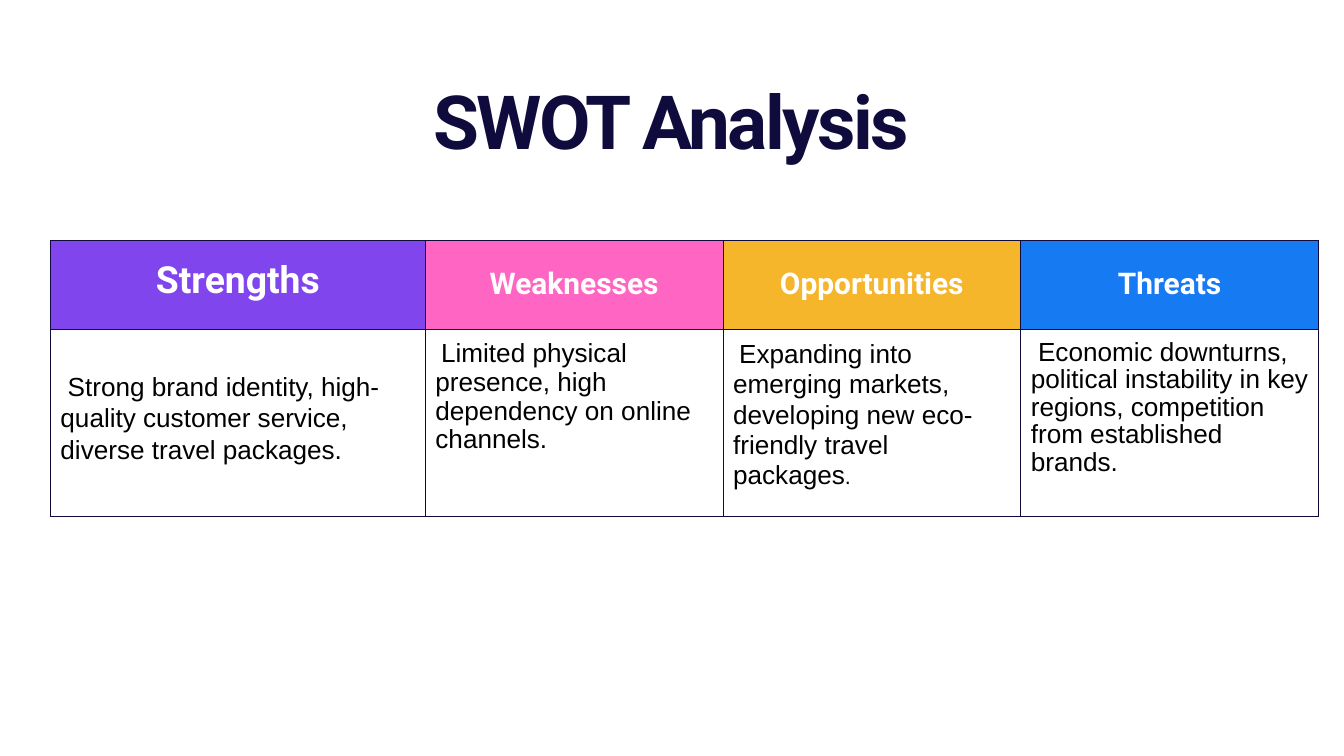
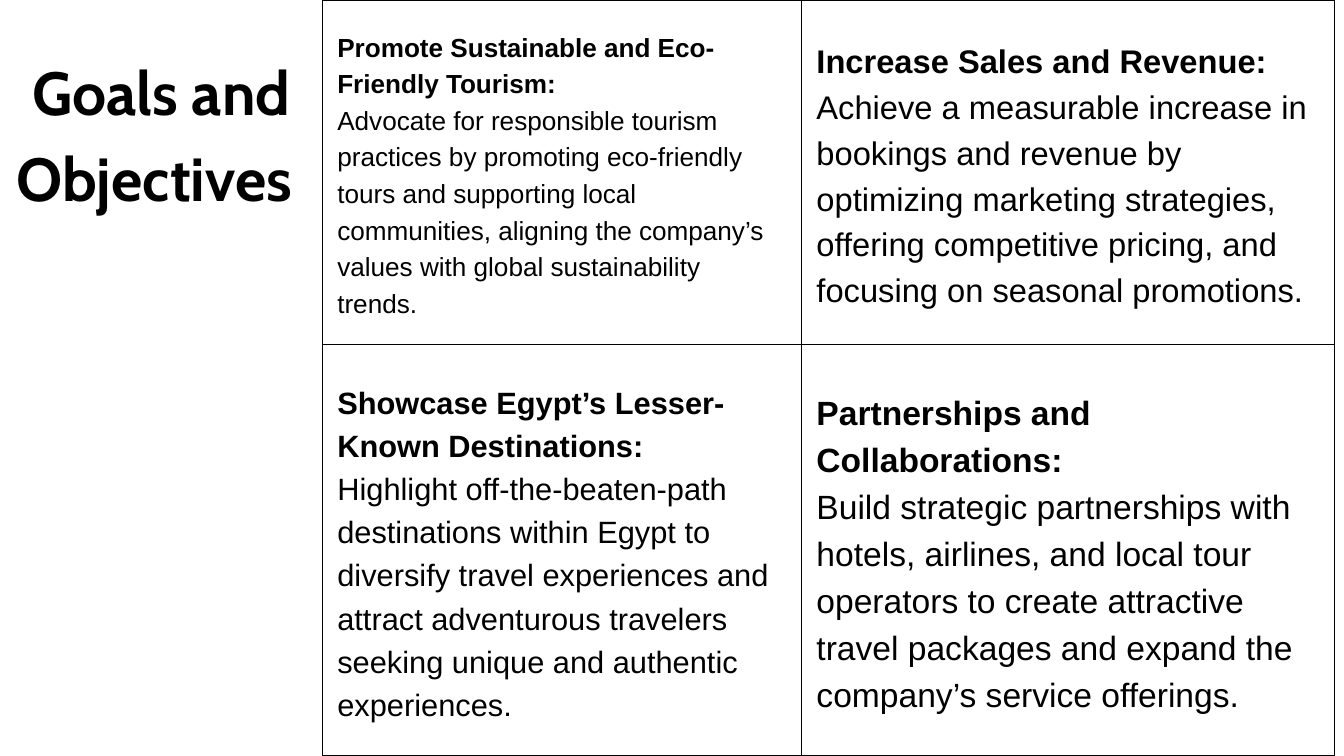
from lxml import etree
from pptx import Presentation
from pptx.dml.color import RGBColor
from pptx.enum import text as txt
from pptx.oxml import ns
from pptx.util import Inches, Pt

COLORS = {
    "navy": "0F0C3D", "black": "000000", "grid": "010101", "white": "FFFFFF",
    "purple": "8045ED", "pink": "FF66C4", "amber": "F6B62C", "blue": "167AF2",
}

# heading, heading size, heading fill, line spacing, text runs with sizes
SWOT = [
    ("Strengths", 40, "purple", 33.6,
     [(" Strong brand identity, high-quality customer service, "
       "diverse travel packages.", 28)]),
    ("Weaknesses", 32, "pink", 30.8,
     [(" ", 22),
      ("Limited physical presence, high dependency on online channels.", 28)]),
    ("Opportunities", 32, "amber", 32.2,
     [(" ", 23),
      ("Expanding into emerging markets, developing new eco-friendly "
       "travel packages", 28),
      (".", 23)]),
    ("Threats", 32, "blue", 29.4,
     [(" Economic downturns, political instability in key regions, "
       "competition from established brands.", 28)]),
]

# heading, description, text size
GOALS = [
    [("Promote Sustainable and Eco-Friendly Tourism:",
      "Advocate for responsible tourism practices by promoting eco-friendly "
      "tours and supporting local communities, aligning the company’s values "
      "with global sustainability trends.", 28),
     ("Increase Sales and Revenue:",
      "Achieve a measurable increase in bookings and revenue by optimizing "
      "marketing strategies, offering competitive pricing, and focusing on "
      "seasonal promotions.", 35)],
    [("Showcase Egypt’s Lesser-Known Destinations:",
      "Highlight off-the-beaten-path destinations within Egypt to diversify "
      "travel experiences and attract adventurous travelers seeking unique "
      "and authentic experiences.", 33),
     ("Partnerships and Collaborations:",
      "Build strategic partnerships with hotels, airlines, and local tour "
      "operators to create attractive travel packages and expand the "
      "company’s service offerings.", 36)],
]


def rgb(color):
    return RGBColor.from_string(COLORS[color])


def write(paragraph, runs, font, color, spacing, bold=False, centered=False):
    """Fill a paragraph with (text, size) runs at an exact line spacing."""
    paragraph.line_spacing = Pt(spacing)
    if centered:
        paragraph.alignment = txt.PP_ALIGN.CENTER
    for words, size in runs:
        run = paragraph.add_run()
        run.text = words
        run.font.size = Pt(size)
    paragraph.font.name = font
    paragraph.font.bold = bold
    paragraph.font.color.rgb = rgb(color)
    for run in paragraph.runs:
        run.font.name = font
        run.font.bold = bold
        run.font.color.rgb = rgb(color)


def add_title(slide, box, words, size, font, color, spacing, tracking=0):
    frame = slide.shapes.add_textbox(*map(Inches, box)).text_frame
    frame.word_wrap = True
    frame.margin_left = frame.margin_right = 0
    frame.margin_top = frame.margin_bottom = 0
    title = frame.paragraphs[0]
    write(title, [(words, size)], font, color, spacing, True, True)
    if tracking:
        for run in title.runs:
            run.font._element.set("spc", str(round(tracking * 100)))


def style_cell(cell, border, width, margin, fill=None, middle=True):
    properties = cell._tc.get_or_add_tcPr()
    for side in ("a:lnL", "a:lnR", "a:lnT", "a:lnB"):
        line = etree.SubElement(properties, ns.qn(side), w=str(Pt(width)))
        solid = etree.SubElement(line, ns.qn("a:solidFill"))
        etree.SubElement(solid, ns.qn("a:srgbClr"), val=COLORS[border])
    if fill:
        cell.fill.solid()
        cell.fill.fore_color.rgb = rgb(fill)
    else:
        cell.fill.background()
    cell.margin_left = cell.margin_right = Inches(margin)
    cell.margin_top = cell.margin_bottom = Inches(margin)
    cell.vertical_anchor = (txt.MSO_ANCHOR.MIDDLE if middle
                            else txt.MSO_ANCHOR.TOP)


def add_grid(slide, left, top, widths, heights):
    table = slide.shapes.add_table(
        len(heights), len(widths), Inches(left), Inches(top),
        Inches(sum(widths)), Inches(sum(heights))).table
    table.first_row = table.horz_banding = False
    for column, width in zip(table.columns, widths):
        column.width = Inches(width)
    for row, height in zip(table.rows, heights):
        row.height = Inches(height)
    return table


def swot_slide(slide):
    add_title(slide, (5.7, 1.33, 8.58, 1.26), "SWOT Analysis", 80, "Roboto",
              "navy", 80, -2.8)
    table = add_grid(slide, 0.75, 3.57, [5.58] + [4.43] * 3, [1.33, 2.78])
    for col, (heading, size, fill, spacing, runs) in enumerate(SWOT):
        head, body = table.cell(0, col), table.cell(1, col)
        style_cell(head, "navy", 0.75, 0.15, fill)
        write(head.text_frame.paragraphs[0], [(heading, size)], "Roboto",
              "white", 37.8, True, True)
        style_cell(body, "navy", 0.75, 0.15, middle=False)
        write(body.text_frame.paragraphs[0], runs, "Arial", "black", spacing)
    # Strengths starts one line lower than its neighbours
    table.cell(1, 0).margin_top = Inches(0.15) + Pt(SWOT[0][3])


def goals_slide(slide):
    table = add_grid(slide, 4.8, 0, [7.13, 7.93], [5.13, 6.12])
    for row, goals in enumerate(GOALS):
        for col, (heading, description, size) in enumerate(goals):
            cell = table.cell(row, col)
            style_cell(cell, "grid", 1.5, 0.22)
            frame = cell.text_frame
            write(frame.paragraphs[0], [(heading, size)], "Arial", "black",
                  size * 1.4, bold=True)
            write(frame.add_paragraph(), [(description, size)], "Arial",
                  "black", size * 1.4)
    add_title(slide, (0, 0.64, 4.8, 2.48), "Goals and Objectives ", 65.1,
              "Cabin", "black", 91.2)


def main():
    deck = Presentation()
    deck.slide_width, deck.slide_height = Inches(20), Inches(11.25)
    for build in (swot_slide, goals_slide):
        build(deck.slides.add_slide(deck.slide_layouts[6]))
    deck.save("out.pptx")


if __name__ == "__main__":
    main()
